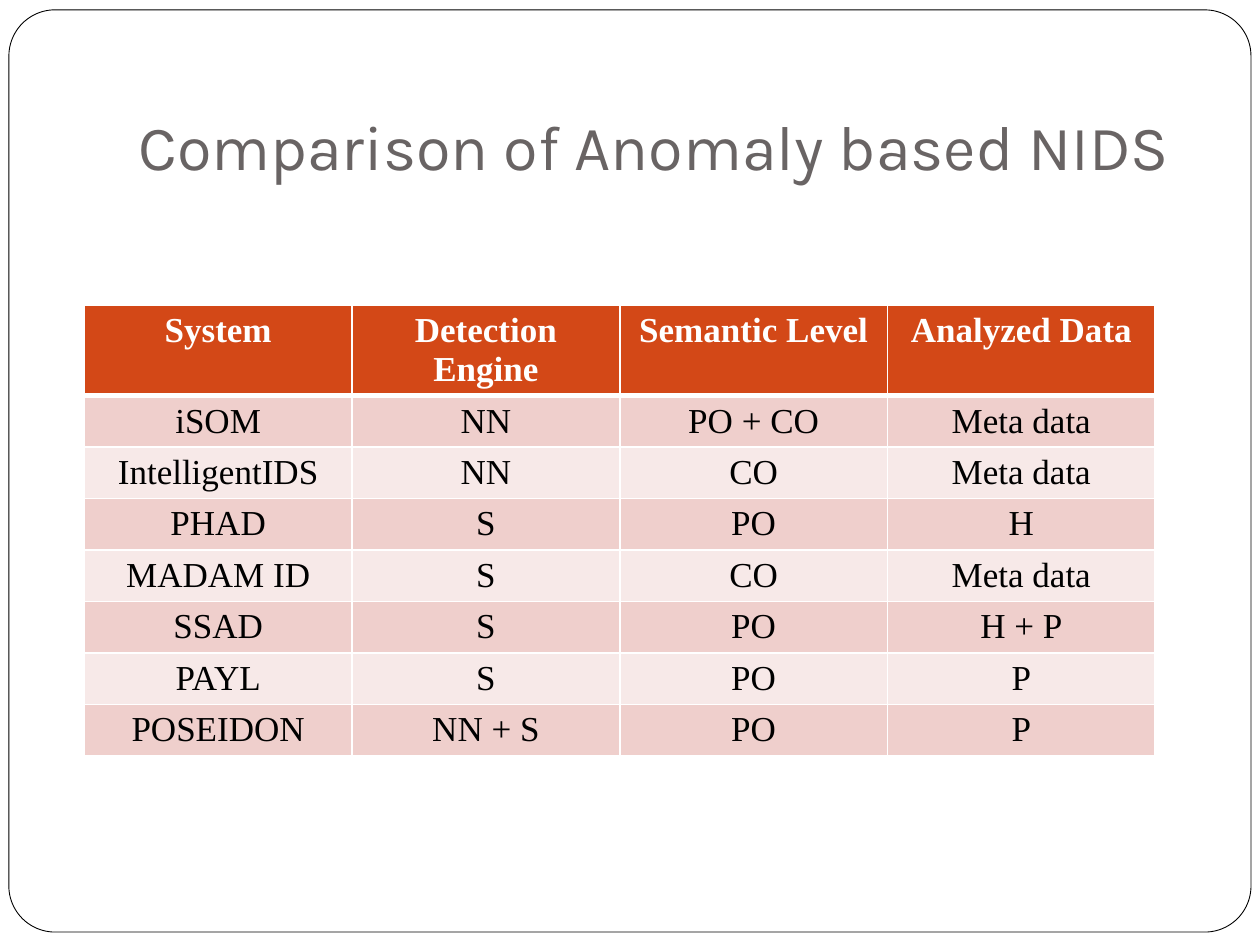
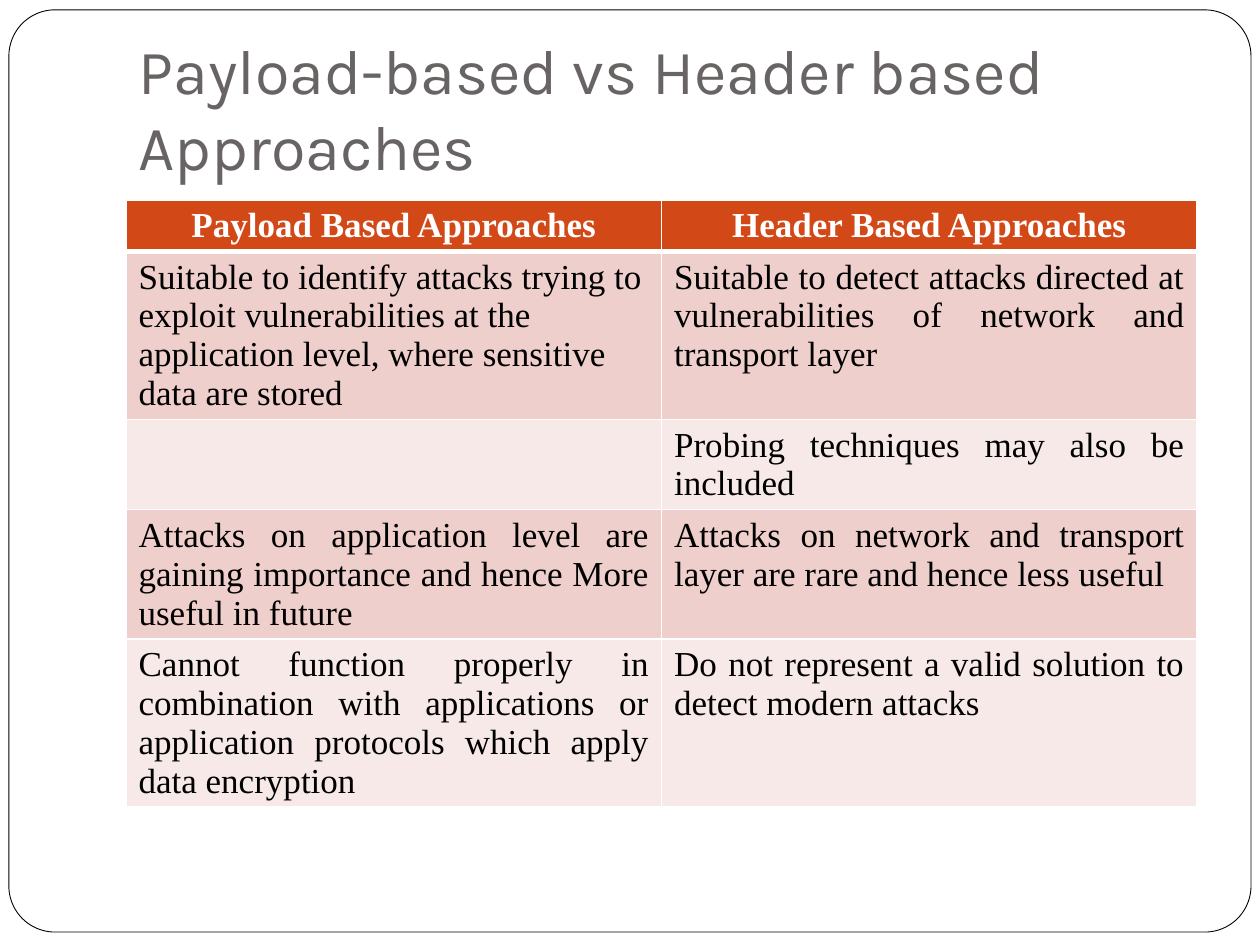
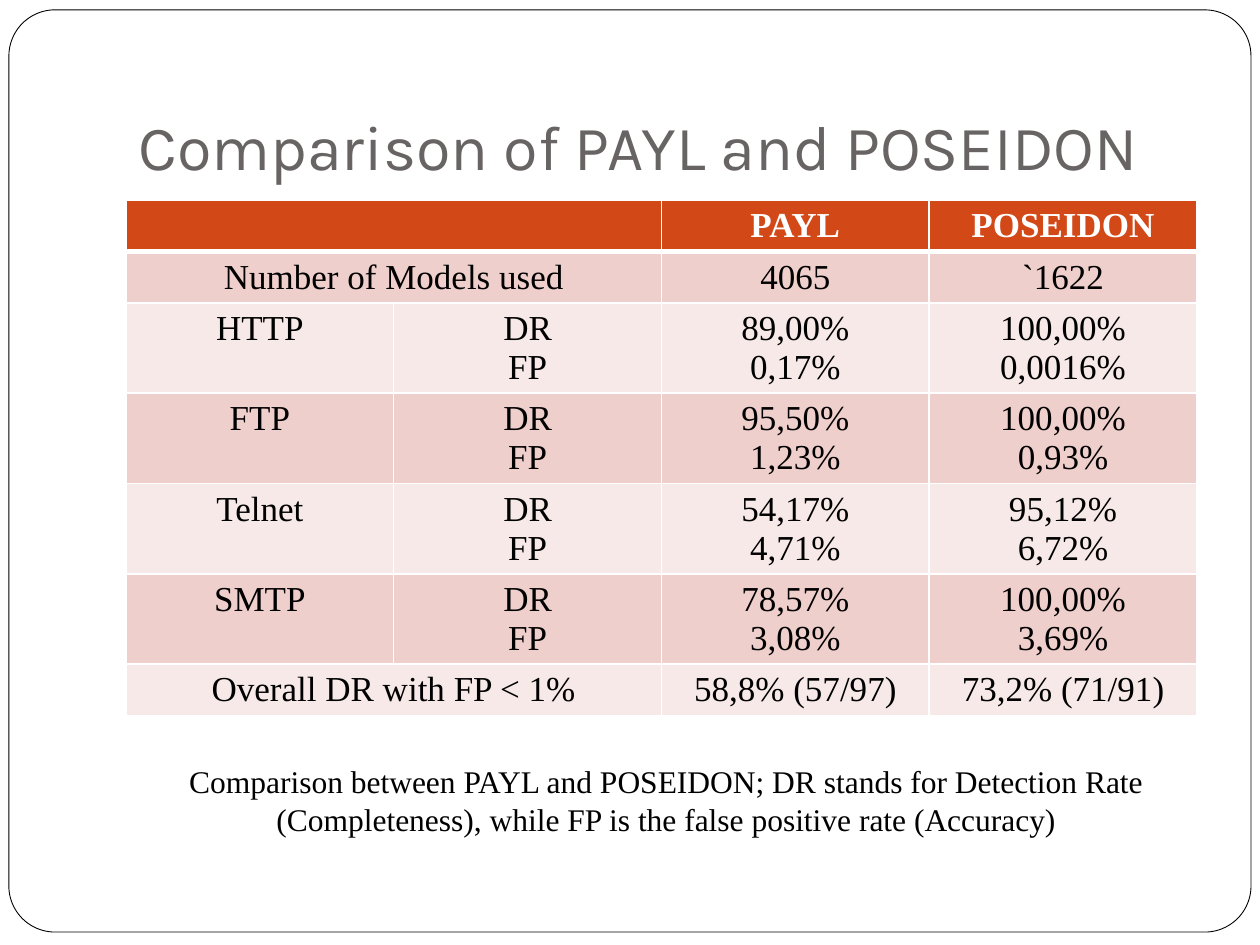
from lxml.etree import SubElement
from pptx import Presentation
from pptx.dml.color import RGBColor
from pptx.enum.shapes import MSO_SHAPE
from pptx.enum.text import MSO_ANCHOR, MSO_AUTO_SIZE, PP_ALIGN
from pptx.oxml.ns import qn
from pptx.util import Cm, Pt

COLORS = {"paper": "FFFFFF", "ink": "000000", "title": "696464",
          "header": "D34817", "band_dark": "EFCFCC", "band_light": "F7E9E8"}
TITLE_FONT, BODY_FONT = "Karla", "Times New Roman"
TABLE_WIDTH, ROW_HEIGHT = 21.59, 1.03
CENTER, LEFT, JUSTIFY = PP_ALIGN.CENTER, PP_ALIGN.LEFT, PP_ALIGN.JUSTIFY

# A None cell continues the cell to its left.
SLIDES = [
    {
        "title": "Comparison of Anomaly based NIDS",
        "corner": (1.7, 6.15),
        "rows": [
            ("System", "Detection Engine", "Semantic Level", "Analyzed Data"),
            ("iSOM", "NN", "PO + CO", "Meta data"),
            ("IntelligentIDS", "NN", "CO", "Meta data"),
            ("PHAD", "S", "PO", "H"),
            ("MADAM ID", "S", "CO", "Meta data"),
            ("SSAD", "S", "PO", "H + P"),
            ("PAYL", "S", "PO", "P"),
            ("POSEIDON", "NN + S", "PO", "P"),
        ],
    },
    {
        "title": "Payload-based vs Header based Approaches",
        "corner": (2.54, 4.03),
        "body_align": JUSTIFY,
        "align_at": {(1, 0): LEFT},
        "rows": [
            ("Payload Based Approaches", "Header Based Approaches"),
            ("Suitable to identify attacks trying to exploit vulnerabilities at "
             "the application level, where sensitive data are stored",
             "Suitable to detect attacks directed at vulnerabilities of network "
             "and transport layer"),
            ("", "Probing techniques may also be included"),
            ("Attacks on application level are gaining importance and hence "
             "More useful in future",
             "Attacks on network and transport layer are rare and hence less "
             "useful"),
            ("Cannot function properly in combination with applications or "
             "application protocols which apply data encryption",
             "Do not represent a valid solution to detect modern attacks"),
        ],
    },
    {
        "title": "Comparison of PAYL and POSEIDON",
        "corner": (2.54, 4.03),
        "rows": [
            ("", None, "PAYL", "POSEIDON"),
            ("Number of Models used", None, "4065", "`1622"),
            ("HTTP", "DR\nFP", "89,00%\n0,17%", "100,00%\n0,0016%"),
            ("FTP", "DR\nFP", "95,50%\n1,23%", "100,00%\n0,93%"),
            ("Telnet", "DR\nFP", "54,17%\n4,71%", "95,12%\n6,72%"),
            ("SMTP", "DR\nFP", "78,57%\n3,08%", "100,00%\n3,69%"),
            ("Overall DR with FP < 1%", None, "58,8% (57/97)", "73,2% (71/91)"),
        ],
        "caption": "Comparison between PAYL and POSEIDON; DR stands for Detection "
                   "Rate (Completeness), while FP is the false positive rate "
                   "(Accuracy)",
    },
]


def rgb(color):
    return RGBColor.from_string(COLORS[color])


def write(frame, text, align, color, **font_format):
    frame.text = text
    for paragraph in frame.paragraphs:
        paragraph.alignment = align
        paragraph.font.color.rgb = rgb(color)
        for attribute, value in font_format.items():
            setattr(paragraph.font, attribute, value)


def place(shape, left, top, width, height):
    box = {"left": left, "top": top, "width": width, "height": height}
    for attribute, value in box.items():
        setattr(shape, attribute, Cm(value))


def add_frame(slide):
    """Draw the rounded frame and move it to the layout, behind all content."""
    frame = slide.shapes.add_shape(MSO_SHAPE.ROUNDED_RECTANGLE,
                                   Cm(0.18), Cm(0.2), Cm(25.04), Cm(18.59))
    frame.adjustments[0] = 0.05
    frame.shadow.inherit = False
    frame.fill.solid()
    frame.fill.fore_color.rgb = rgb("paper")
    frame.line.color.rgb = rgb("ink")
    frame.line.width = Pt(0.5)
    slide.slide_layout.shapes[0].element.addprevious(frame.element)


def add_title(slide, text):
    title = slide.shapes.title
    place(title, 2.54, 0.76, TABLE_WIDTH, 3.18)
    write(title.text_frame, text, LEFT, "title", name=TITLE_FONT, size=Pt(36))
    frame_format = {"vertical_anchor": MSO_ANCHOR.BOTTOM, "word_wrap": True,
                    "auto_size": MSO_AUTO_SIZE.NONE, "margin_bottom": Cm(0.25)}
    for attribute, value in frame_format.items():
        setattr(title.text_frame, attribute, value)


def set_borders(cell, row):
    """Rule the cell in white, with a thick rule under the header row."""
    widths = {"L": 1, "R": 1, "T": 3 if row == 1 else 1, "B": 3 if row == 0 else 1}
    properties = cell._tc.get_or_add_tcPr()
    for side, width in widths.items():
        line = SubElement(properties, qn(f"a:ln{side}"), w=str(Pt(width)))
        fill = SubElement(line, qn("a:solidFill"))
        SubElement(fill, qn("a:srgbClr"), val=COLORS["paper"])


def add_comparison(slide, corner, rows, body_align=CENTER, align_at={}):
    columns = len(rows[0])
    left, top = corner
    table = slide.shapes.add_table(
        len(rows), columns, Cm(left), Cm(top),
        Cm(TABLE_WIDTH), Cm(ROW_HEIGHT * len(rows))).table
    for r, texts in enumerate(rows):
        header = r == 0
        band = "header" if header else "band_dark" if r % 2 else "band_light"
        for c, text in enumerate(texts):
            cell = table.cell(r, c)
            set_borders(cell, r)
            cell.fill.solid()
            cell.fill.fore_color.rgb = rgb(band)
            if text is None:
                table.cell(r, c - 1).merge(cell)
                continue
            align = CENTER if header else align_at.get((r, c), body_align)
            write(cell.text_frame, text, align, "paper" if header else "ink",
                  name=BODY_FONT, size=Pt(20), bold=header)


def add_caption(slide, text):
    caption = slide.shapes.add_textbox(Cm(2.74), Cm(15.24), Cm(21.39), Cm(1.8))
    caption.text_frame.word_wrap = True
    write(caption.text_frame, text, CENTER, "ink", name=BODY_FONT, size=Pt(18))


def main():
    deck = Presentation()
    deck.slide_width, deck.slide_height = Cm(25.4), Cm(19.05)
    title_only = deck.slide_layouts[5]
    for number, content in enumerate(SLIDES):
        slide = deck.slides.add_slide(title_only)
        if number == 0:
            add_frame(slide)
        add_title(slide, content["title"])
        add_comparison(slide, content["corner"], content["rows"],
                       content.get("body_align", CENTER),
                       content.get("align_at", {}))
        if "caption" in content:
            add_caption(slide, content["caption"])
    deck.save("out.pptx")


if __name__ == "__main__":
    main()
